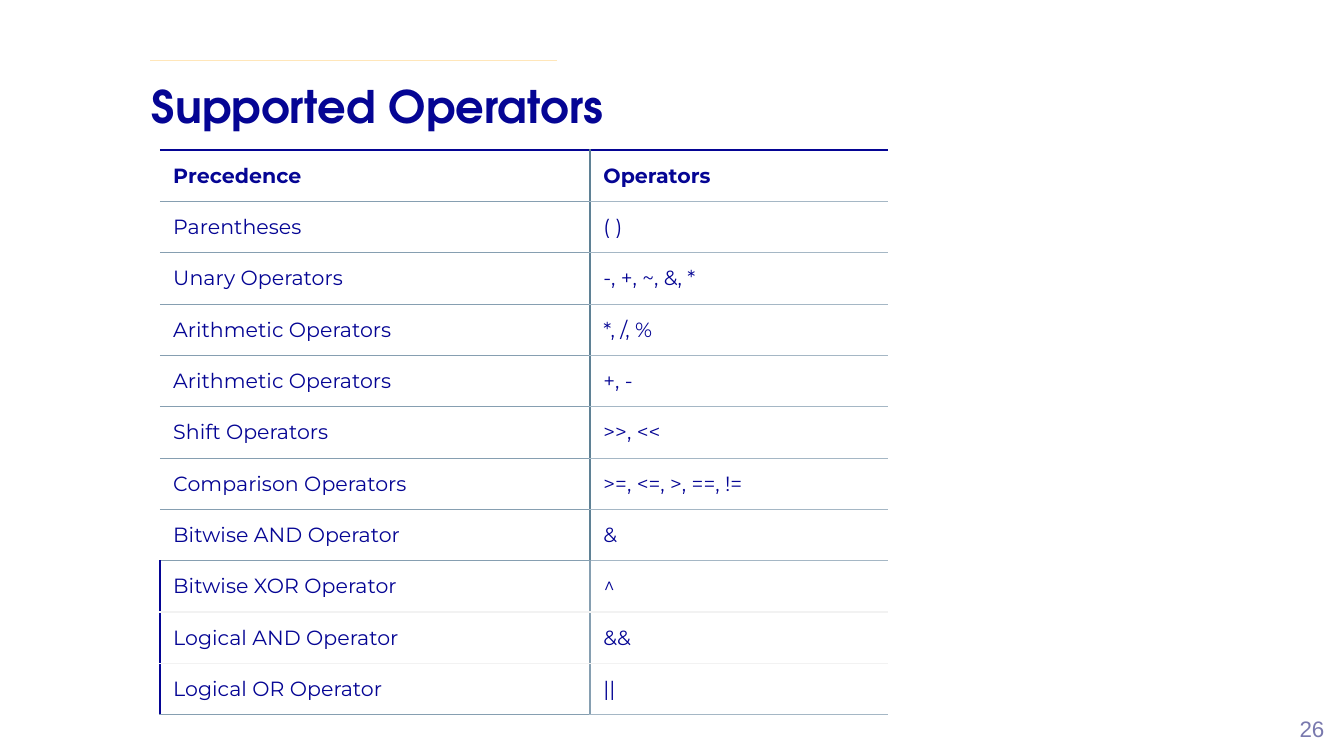
from lxml import etree
from pptx import Presentation
from pptx import util as u
from pptx.dml.color import RGBColor
from pptx.enum import shapes, text
from pptx.oxml.ns import qn

NAVY, SLATE, STEEL, MIST, PALE = "050594", "5F8195", "869FB1", "A5B7C5", "F2F2F2"


def colour(hex_string):
    return RGBColor.from_string(hex_string)


def add_border(cell, side, hex_string, points=0.75):
    line = etree.SubElement(cell._tc.get_or_add_tcPr(), qn(f"a:ln{side}"),
                            w=str(u.Pt(points)))
    fill = etree.SubElement(line, qn("a:solidFill"))
    etree.SubElement(fill, qn("a:srgbClr"), val=hex_string)


presentation = Presentation()
presentation.slide_width = u.Cm(25.4)
presentation.slide_height = u.Cm(14.29)
slide = presentation.slides.add_slide(presentation.slide_layouts[5])

# Title
title = slide.shapes.title
title.left, title.top, title.width, title.height = (
    u.Cm(2.62), u.Cm(1.24), u.Cm(16.71), u.Cm(2.62))
frame = title.text_frame
frame.margin_left = frame.margin_right = u.Cm(0.25)
frame.margin_top = frame.margin_bottom = u.Cm(0.25)
frame.vertical_anchor = text.MSO_ANCHOR.TOP
frame.text = "Supported Operators"
paragraph = frame.paragraphs[0]
paragraph.alignment = text.PP_ALIGN.LEFT
paragraph.font.name = "TeX Gyre Adventor"
paragraph.font.size = u.Pt(24)
paragraph.font.bold = True
paragraph.font.color.rgb = colour(NAVY)

# Accent line above the title
accent = slide.shapes.add_connector(
    shapes.MSO_CONNECTOR.STRAIGHT, u.Cm(2.84), u.Cm(1.14), u.Cm(10.52), u.Cm(1.14))
accent.line.color.rgb = colour("FFE6B9")
accent.line.width = u.Pt(0.75)
etree.SubElement(accent._element.spPr, qn("a:effectLst"))

# Operator table
rows = [
    ("Precedence", "Operators"),
    ("Parentheses", "( )"),
    ("Unary Operators", "-, +, ~, &, *"),
    ("Arithmetic Operators", "*, /, %"),
    ("Arithmetic Operators", "+, -"),
    ("Shift Operators", ">>, <<"),
    ("Comparison Operators", ">=, <=, >, ==, !="),
    ("Bitwise AND Operator", "&"),
    ("Bitwise XOR Operator", "^"),
    ("Logical AND Operator", "&&"),
    ("Logical OR Operator", "||"),
]
first_logical = 8  # from this row on, the borders are lighter
row_height = u.Cm(0.97)
table = slide.shapes.add_table(
    len(rows), 2, u.Cm(3.02), u.Cm(2.84), u.Cm(13.77), row_height * len(rows)).table
table.horz_banding = False
# "No Style, No Grid"
table._tbl.tblPr.find(qn("a:tableStyleId")).text = "{2D5ABB26-0587-4C30-8999-92F81FD0307C}"
table.columns[0].width = u.Cm(8.13)
table.columns[1].width = u.Cm(5.64)

for row, labels in enumerate(rows):
    table.rows[row].height = row_height
    divider = SLATE if row < first_logical else STEEL
    for column, label in enumerate(labels):
        cell = table.cell(row, column)
        rule = (STEEL, MIST)[column]

        # Borders, in the order left, right, top, bottom
        if column == 1:
            add_border(cell, "L", divider)
        else:
            if row >= first_logical:
                add_border(cell, "L", NAVY, 1)
            add_border(cell, "R", divider)
        if row == 0:
            add_border(cell, "T", NAVY, 1)
        else:
            add_border(cell, "T", PALE if row > first_logical else rule)
        add_border(cell, "B", PALE if first_logical <= row < len(rows) - 1 else rule)
        cell.fill.background()

        # Label
        cell.vertical_anchor = text.MSO_ANCHOR.MIDDLE
        cell.text = label
        font = cell.text_frame.paragraphs[0].font
        font.name = "Montserrat"
        font.size = u.Pt(11)
        font.bold = row == 0
        font.color.rgb = colour(NAVY)

# Page number
number = slide.shapes.add_textbox(u.Cm(19.56), u.Cm(13.39), u.Cm(5.72), u.Cm(0.76))
number.text_frame.word_wrap = True
number.text_frame.vertical_anchor = text.MSO_ANCHOR.MIDDLE
number.text_frame.text = "26"
paragraph = number.text_frame.paragraphs[0]
paragraph.alignment = text.PP_ALIGN.RIGHT
paragraph.font.name = "Arial"
paragraph.font.size = u.Pt(12)
paragraph.font.color.rgb = colour("7979AE")

presentation.save("out.pptx")
